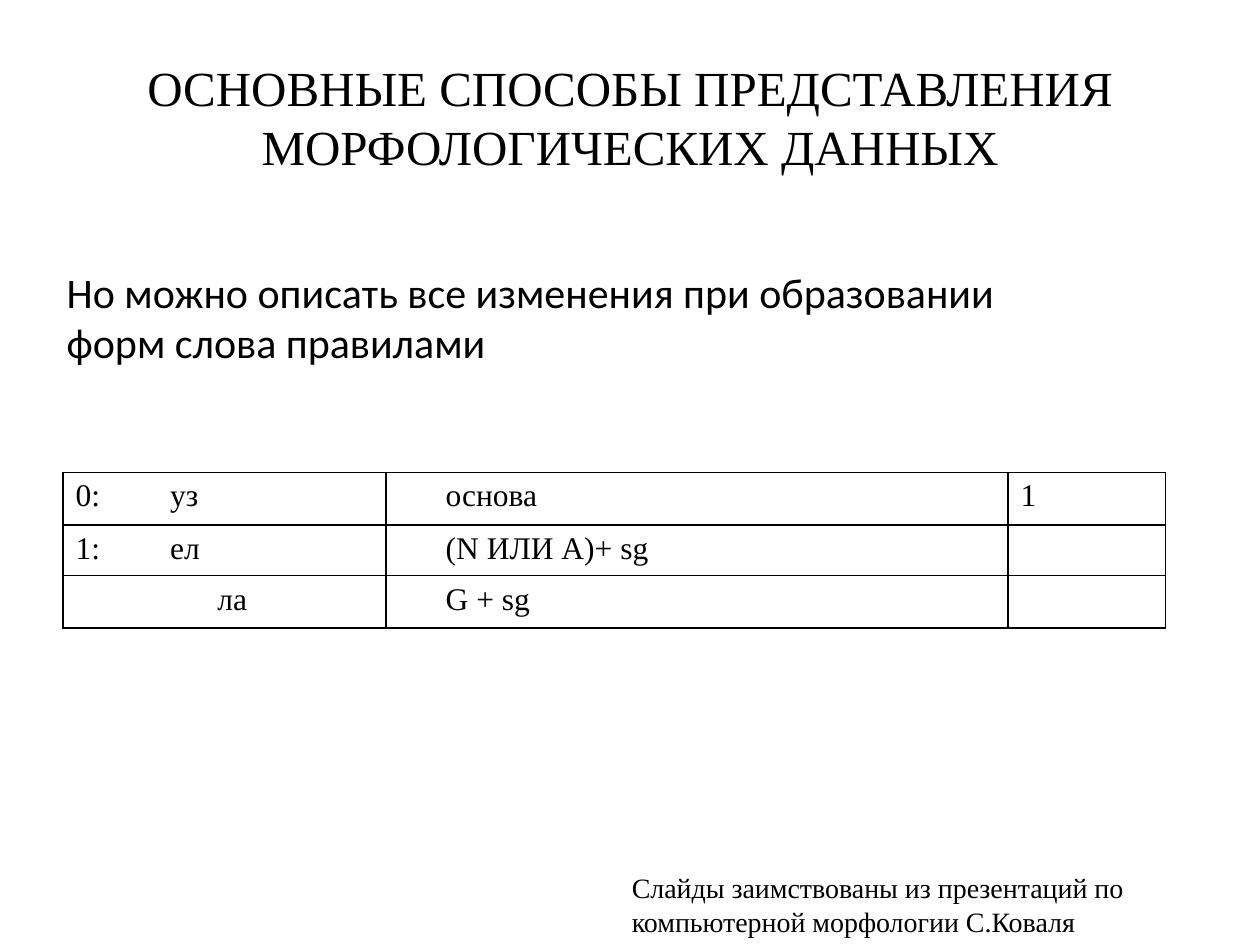
from lxml.etree import SubElement
from pptx import Presentation
from pptx.dml.color import RGBColor
from pptx.enum.text import MSO_ANCHOR as Anchor, PP_ALIGN as Align
from pptx.oxml.ns import qn
from pptx.util import Pt

COLORS = {"ink": "000000", "paper": "FFFFFF"}
SERIF = "Times New Roman"
SANS = "Calibri"
COLUMN_WIDTHS = [184.5, 355.5, 90]
ROW_HEIGHTS = [30, 29, 30]
ROWS = [
    ["0:\tуз", "\tоснова", "1"],
    ["1:\tел", "\t(N ИЛИ A)+ sg", ""],
    ["\t\tла", "\tG + sg", ""],
]
NUMBERED_STOPS = [54]
INDENTED_STOPS = [27, 81]


def style_paragraph(para, size, face):
    para.font.size = Pt(size)
    para.font.name = face
    para.font.color.rgb = RGBColor.from_string(COLORS["ink"])


def add_text(page, box, text, size, face, align=Align.LEFT, anchor=Anchor.TOP):
    frame = page.shapes.add_textbox(*map(Pt, box)).text_frame
    frame.word_wrap = True
    frame.vertical_anchor = anchor
    para = frame.paragraphs[0]
    para.text = text
    para.alignment = align
    style_paragraph(para, size, face)


def set_tab_stops(para, stops):
    tabs = SubElement(para._p.get_or_add_pPr(), qn("a:tabLst"))
    for stop in stops:
        SubElement(tabs, qn("a:tab"), pos=str(Pt(stop)), algn="l")


def set_borders(cell):
    properties = cell._tc.get_or_add_tcPr()
    for position, side in enumerate(["lnL", "lnR", "lnT", "lnB"]):
        line = SubElement(properties, qn(f"a:{side}"), w=str(Pt(1)))
        fill = SubElement(line, qn("a:solidFill"))
        SubElement(fill, qn("a:srgbClr"), val=COLORS["ink"])
        properties.insert(position, line)


def fill_cell(cell, text):
    cell.fill.solid()
    cell.fill.fore_color.rgb = RGBColor.from_string(COLORS["paper"])
    set_borders(cell)
    para = cell.text_frame.paragraphs[0]
    para.text = text
    numbered = text and not text.startswith("\t")
    set_tab_stops(para, NUMBERED_STOPS if numbered else INDENTED_STOPS)
    style_paragraph(para, 18, SERIF)


def add_rule_table(page, box):
    table = page.shapes.add_table(
        len(ROWS), len(COLUMN_WIDTHS), *map(Pt, box)
    ).table
    table.first_row = False
    table.horz_banding = False
    for column, width in zip(table.columns, COLUMN_WIDTHS):
        column.width = Pt(width)
    for row, height, texts in zip(table.rows, ROW_HEIGHTS, ROWS):
        row.height = Pt(height)
        for cell, text in zip(row.cells, texts):
            fill_cell(cell, text)


def main():
    deck = Presentation()
    deck.slide_width, deck.slide_height = Pt(720), Pt(540)
    page = deck.slides.add_slide(deck.slide_layouts[6])
    add_text(
        page, (36, 21.6, 648, 90),
        "ОСНОВНЫЕ СПОСОБЫ ПРЕДСТАВЛЕНИЯ МОРФОЛОГИЧЕСКИХ ДАННЫХ",
        28, SERIF, Align.CENTER, Anchor.MIDDLE,
    )
    add_rule_table(page, (36, 270, sum(COLUMN_WIDTHS), sum(ROW_HEIGHTS)))
    add_text(
        page, (31, 148.5, 570, 121.5),
        "Но можно описать все изменения при образовании форм слова правилами",
        24, SANS,
    )
    add_text(
        page, (354, 494, 360, 46),
        "Слайды заимствованы из презентаций по компьютерной морфологии С.Коваля",
        16, SERIF,
    )
    deck.save("out.pptx")


if __name__ == "__main__":
    main()
